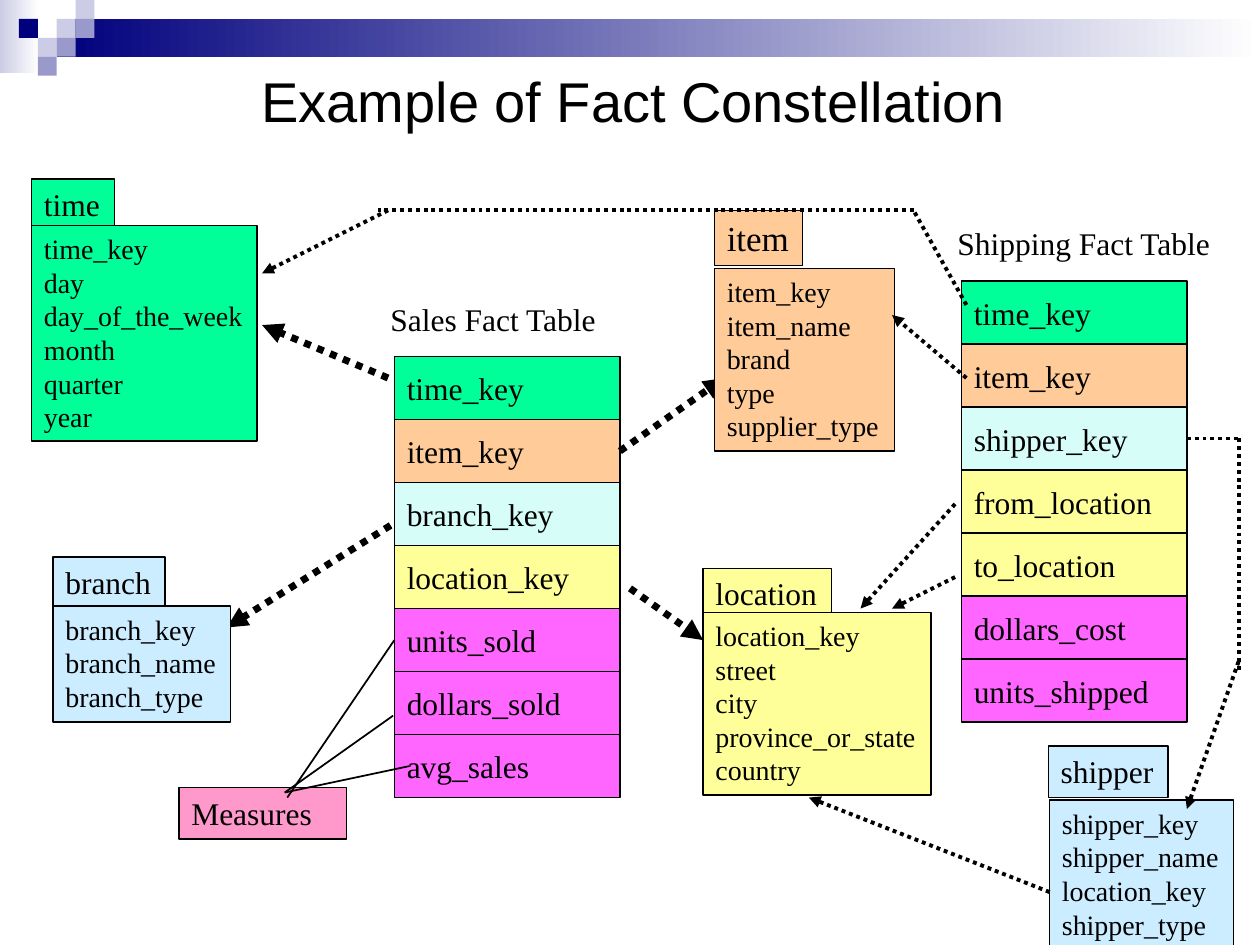
import pptx
import pptx.dml.color
import pptx.enum.dml
import pptx.enum.shapes
import pptx.enum.text
import pptx.oxml
import pptx.oxml.ns
import pptx.util
from pptx.util import Inches

RECTANGLE = pptx.enum.shapes.MSO_SHAPE.RECTANGLE
ANCHOR = pptx.enum.text.MSO_ANCHOR
ALIGN = pptx.enum.text.PP_ALIGN
SERIF = "Times New Roman"
GREEN, ORANGE, MINT, YELLOW = "00FF99", "FFCC99", "D7FDF9", "FFFF99"
MAGENTA, BLUE, PINK, BLACK = "FF66FF", "CCECFF", "FF99CC", "000000"
NAVY, LILAC, LAVENDER, WHITE = "00007D", "CCCCE6", "9999CC", "FFFFFF"
ROW_WIDTH, ROW_HEIGHT = 1.79, 0.5

SALES_ROWS = [
    ("time_key", GREEN), ("item_key", ORANGE), ("branch_key", MINT),
    ("location_key", YELLOW), ("units_sold", MAGENTA),
    ("dollars_sold", MAGENTA), ("avg_sales", MAGENTA),
]
SHIPPING_ROWS = [
    ("time_key", GREEN), ("item_key", ORANGE), ("shipper_key", MINT),
    ("from_location", YELLOW), ("to_location", YELLOW),
    ("dollars_cost", MAGENTA), ("units_shipped", MAGENTA),
]
DIMENSIONS = [
    ("time", 18, (0.25, 1.42, 0.66, 0.41), (0.25, 1.79, 1.79, 1.71), GREEN,
     ["time_key", "day", "day_of_the_week", "month", "quarter", "year"]),
    ("location", 18, (5.58, 4.51, 1.02, 0.41), (5.58, 4.86, 1.81, 1.45), YELLOW,
     ["location_key", "street", "city", "province_or_state", "country"]),
    ("item", 20, (5.67, 1.67, 0.7, 0.44), (5.67, 2.13, 1.43, 1.45), ORANGE,
     ["item_key", "item_name", "brand", "type", "supplier_type"]),
    ("branch", 18, (0.42, 4.42, 0.89, 0.46), (0.42, 4.81, 1.41, 0.92), BLUE,
     ["branch_key", "branch_name", "branch_type"]),
    ("shipper", 18, (8.32, 5.92, 0.95, 0.41), (8.33, 6.35, 1.46, 1.18), BLUE,
     ["shipper_key", "shipper_name", "location_key", "shipper_type"]),
]


def color(value):
    return pptx.dml.color.RGBColor.from_string(value)


def format_text(text_frame, size, font=SERIF, align=ALIGN.LEFT):
    for paragraph in text_frame.paragraphs:
        paragraph.alignment = align
        for run in paragraph.runs:
            run.font.size = pptx.util.Pt(size)
            run.font.name = font
            run.font.color.rgb = color(BLACK)


def add_rectangle(shapes, box, fill):
    shape = shapes.add_shape(RECTANGLE, *map(Inches, box))
    shape.shadow.inherit = False
    shape.fill.solid()
    shape.fill.fore_color.rgb = color(fill)
    shape.line.fill.background()
    return shape


def add_text_box(shapes, box, text, fill, size, line_width=0.75, anchor=ANCHOR.TOP, grow=True):
    shape = add_rectangle(shapes, box, fill)
    shape.line.color.rgb = color(BLACK)
    shape.line.width = pptx.util.Pt(line_width)
    text_frame = shape.text_frame
    text_frame.text = text
    text_frame.word_wrap = False
    text_frame.vertical_anchor = anchor
    if grow:
        text_frame.auto_size = pptx.enum.text.MSO_AUTO_SIZE.SHAPE_TO_FIT_TEXT
    format_text(text_frame, size)
    return shape


def add_line(slide, start, end, width, dotted=True, arrow=True):
    connector = slide.shapes.add_connector(
        pptx.enum.shapes.MSO_CONNECTOR.STRAIGHT, *map(Inches, start + end))
    connector.line.color.rgb = color(BLACK)
    connector.line.width = pptx.util.Pt(width)
    if dotted:
        connector.line.dash_style = pptx.enum.dml.MSO_LINE.ROUND_DOT
    if arrow:
        tail = pptx.oxml.parse_xml(
            f'<a:tailEnd {pptx.oxml.ns.nsdecls("a")} type="triangle"/>')
        connector.line._get_or_add_ln().append(tail)
    connector._element.spPr.append(
        pptx.oxml.parse_xml(f'<a:effectLst {pptx.oxml.ns.nsdecls("a")}/>'))
    return connector


def add_header(slide, unit):
    shapes = slide.shapes
    gradients = [((0, 0, 0.31, 0.58), LILAC), ((3 * unit, unit, 9.55, 2 * unit), NAVY)]
    for box, start_color in gradients:
        fill = add_rectangle(shapes, box, start_color).fill
        fill.gradient()
        fill.gradient_angle = 0
        for stop, stop_color in zip(fill.gradient_stops, (start_color, WHITE)):
            stop.color.rgb = color(stop_color)
    squares = [(3, 1, LILAC), (4, 0, LILAC), (4, 1, LAVENDER), (2, 2, LILAC),
               (1, 1, NAVY), (3, 2, LAVENDER), (2, 3, LAVENDER)]
    for column, row, fill in squares:
        add_rectangle(shapes, (column * unit, row * unit, unit, unit), fill)


def add_title(slide, box, text):
    title = slide.shapes.title
    title.left, title.top, title.width, title.height = map(Inches, box)
    title.text_frame.text = text
    title.text_frame.vertical_anchor = ANCHOR.MIDDLE
    format_text(title.text_frame, 32, "Arial", ALIGN.CENTER)


def add_fact_table(slide, left, top, caption, caption_box, rows):
    caption_shape = slide.shapes.add_textbox(*map(Inches, caption_box))
    caption_shape.text_frame.text = caption
    caption_shape.text_frame.word_wrap = False
    format_text(caption_shape.text_frame, 18)
    return {
        name: add_text_box(
            slide.shapes, (left, top + index * ROW_HEIGHT, ROW_WIDTH, ROW_HEIGHT),
            name, fill, 18, 1, ANCHOR.MIDDLE, False)
        for index, (name, fill) in enumerate(rows)
    }


def add_dimension(slide, name, size, label_box, body_box, fill, fields):
    group = slide.shapes.add_group_shape()
    add_text_box(group.shapes, label_box, name, fill, size)
    add_text_box(group.shapes, body_box, "\n".join(fields), fill, 16)


def add_measures(slide, box, sales):
    add_text_box(slide.shapes, box, "Measures", PINK, 18, grow=False)
    to_units = add_line(slide, (2.28, 6.33), (3.13, 5.08), 1, False, False)
    to_units.end_connect(sales["units_sold"], 1)
    for end in [(3.12, 5.68), (3.25, 6.08)]:
        add_line(slide, (2.26, 6.29), end, 1, False, False)


def add_sales_links(slide, sales):
    for start, end in [((3.1, 4.17), (1.8, 4.98)), ((3.08, 3), (2.08, 2.58)),
                       ((5, 4.67), (5.58, 5.08))]:
        add_line(slide, start, end, 4)
    item_link = add_line(slide, (4.92, 3.58), (5.75, 3), 4)
    item_link.begin_connect(sales["item_key"], 3)


def add_shipping_links(slide, shipping):
    for start, end, arrow in [
        ((7.67, 2.42), (7.25, 1.67), False),
        ((7.25, 1.67), (3, 1.67), False),
        ((3.08, 1.67), (2.08, 2.17), True),
        ((7.67, 3), (7.08, 2.5), True),
        ((7.58, 4), (6.83, 4.83), True),
        ((7.58, 4.58), (7.08, 4.83), True),
        ((9.83, 3.48), (9.83, 5.33), False),
        ((9.83, 5.25), (9.42, 6.42), True),
        ((8.33, 7.08), (6.42, 6.33), True),
    ]:
        add_line(slide, start, end, 2.25, arrow=arrow)
    shipper_link = add_line(slide, (9.42, 3.48), (9.83, 3.48), 2.25, arrow=False)
    shipper_link.begin_connect(shipping["shipper_key"], 3)


def main():
    presentation = pptx.Presentation()
    presentation.slide_width, presentation.slide_height = Inches(10), Inches(7.5)
    slide = presentation.slides.add_slide(presentation.slide_layouts[5])
    add_header(slide, 0.15)
    add_title(slide, (1.22, 0.42, 7.62, 0.75), "Example of Fact Constellation")
    sales = add_fact_table(
        slide, 3.13, 2.83, "Sales Fact Table", (3, 2.33, 1.85, 0.4), SALES_ROWS)
    add_measures(slide, (1.42, 6.25, 1.33, 0.41), sales)
    add_sales_links(slide, sales)
    for dimension in DIMENSIONS:
        add_dimension(slide, *dimension)
    shipping = add_fact_table(
        slide, 7.63, 2.23, "Shipping Fact Table", (7.5, 1.73, 2.23, 0.4), SHIPPING_ROWS)
    add_shipping_links(slide, shipping)
    presentation.save("out.pptx")


if __name__ == "__main__":
    main()
